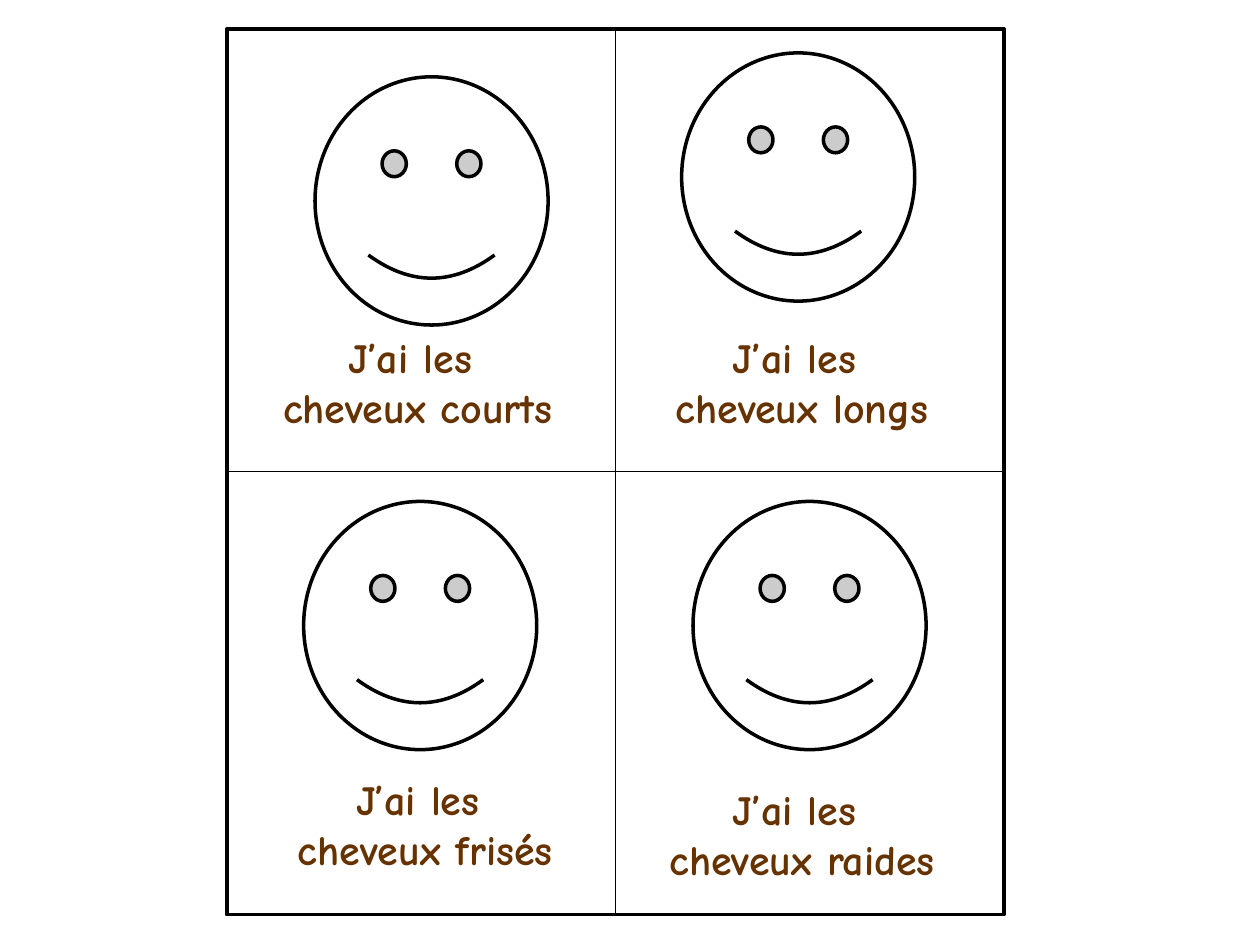
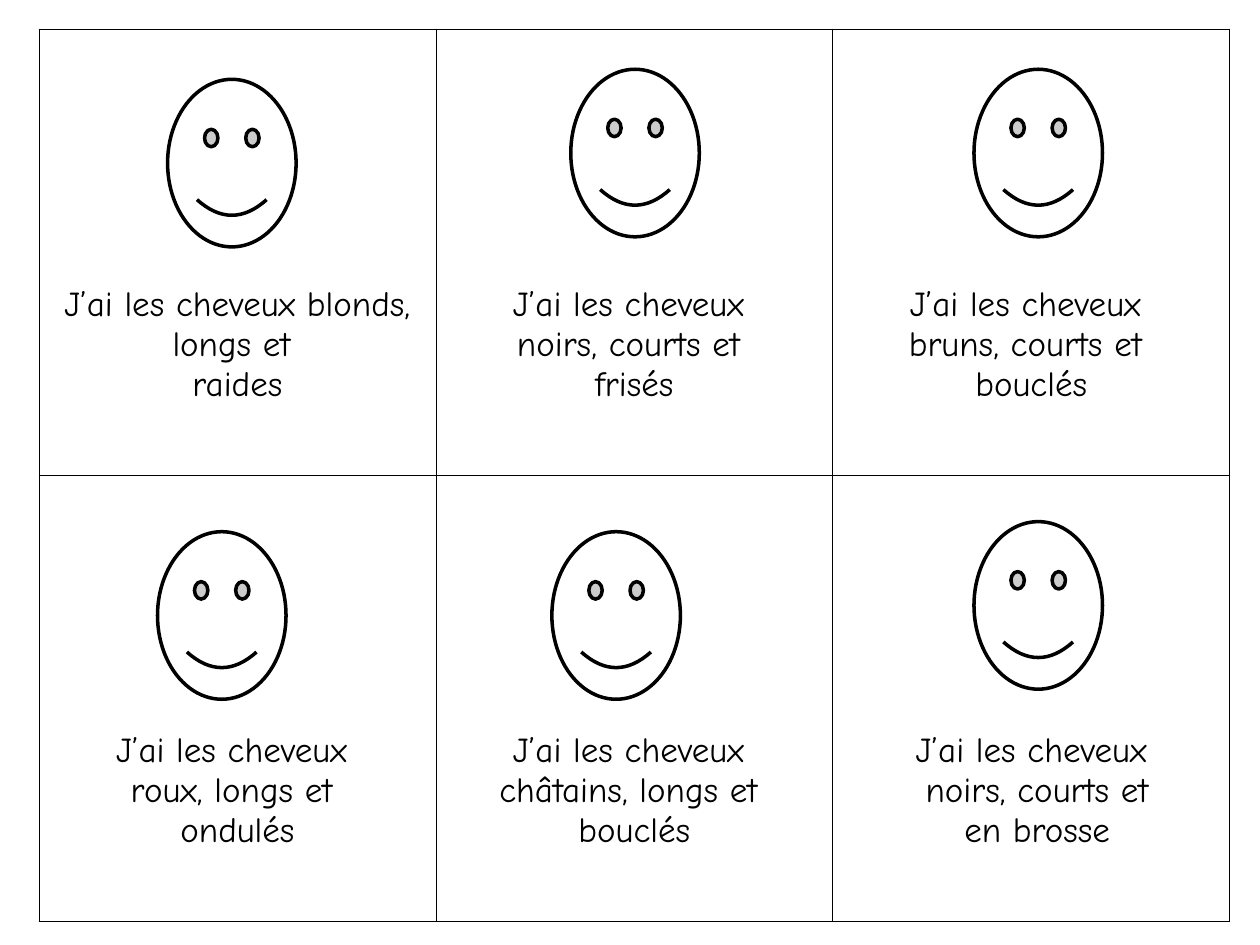
from lxml import etree
from pptx import Presentation
from pptx.dml.color import RGBColor
from pptx.enum.shapes import MSO_CONNECTOR, MSO_SHAPE
from pptx.enum.text import MSO_AUTO_SIZE, PP_ALIGN
from pptx.oxml.ns import qn
from pptx.util import Inches, Pt

BLACK = RGBColor(0x00, 0x00, 0x00)
WHITE = RGBColor(0xFF, 0xFF, 0xFF)
BROWN = RGBColor(0x66, 0x33, 0x00)

FONT = "Comic Neue"
STRAIGHT = MSO_CONNECTOR.STRAIGHT
RECTANGLE, SMILEY = MSO_SHAPE.RECTANGLE, MSO_SHAPE.SMILEY_FACE
CENTER = PP_ALIGN.CENTER
FIT_SHAPE = MSO_AUTO_SIZE.SHAPE_TO_FIT_TEXT
TOP, LEFT, BOTTOM, RIGHT = range(4)
BLANK_LAYOUT = 6


class CardDeck:
    """Holds the shared style and the slide being filled."""

    def __init__(self):
        self.deck = Presentation()
        self.deck.slide_width = Inches(10)
        self.deck.slide_height = Inches(7.5)
        self.page = None

    def add_page(self):
        self.page = self.deck.slides.add_slide(self.deck.slide_layouts[BLANK_LAYOUT])

    def shape(self, kind, left, top, width, height):
        shape = self.page.shapes.add_shape(
            kind, Inches(left), Inches(top), Inches(width), Inches(height))
        shape.shadow.inherit = False
        shape.fill.solid()
        shape.fill.fore_color.rgb = WHITE
        shape.line.color.rgb = BLACK
        shape.line.width = Pt(2)
        return shape

    def face(self, left, top, width, height):
        self.shape(SMILEY, left, top, width, height).adjustments[0] = 0.093

    def divider(self, frame, start_side, end_side):
        line = self.page.shapes.add_connector(STRAIGHT, 0, 0, 0, 0)
        line.begin_connect(frame, start_side)
        line.end_connect(frame, end_side)
        line.line.color.rgb = BLACK
        line.line.width = Pt(0.75)
        etree.SubElement(line._element.spPr, qn("a:effectLst"))

    def fill_text(self, text_frame, lines, size, color, bold=False):
        text_frame.word_wrap = True
        for index, line in enumerate(lines):
            para = text_frame.paragraphs[0] if index == 0 else text_frame.add_paragraph()
            para.alignment = CENTER
            span = para.add_run()
            span.text = line
            span.font.name = FONT
            span.font.size = Pt(size)
            span.font.bold = bold
            span.font.color.rgb = color

    def caption(self, left, top, width, lines):
        box = self.page.shapes.add_textbox(
            Inches(left), Inches(top), Inches(width), Inches(0.9))
        box.text_frame.auto_size = FIT_SHAPE
        self.fill_text(box.text_frame, lines, 24, BROWN, bold=True)

    def border(self, cell):
        properties = cell._tc.get_or_add_tcPr()
        for side in ("lnL", "lnR", "lnT", "lnB"):
            edge = etree.SubElement(properties, qn(f"a:{side}"), w=str(Pt(0.45)))
            fill = etree.SubElement(edge, qn("a:solidFill"))
            etree.SubElement(fill, qn("a:srgbClr"), val=str(BLACK))

    def card_table(self, left, top, column_width, row_height, rows):
        columns = len(rows[0])
        table = self.page.shapes.add_table(
            len(rows), columns, Inches(left), Inches(top),
            Inches(column_width * columns), Inches(row_height * len(rows))).table
        table.first_row = False
        table.horz_banding = False
        for row_index, row in enumerate(rows):
            for column_index, lines in enumerate(row):
                cell = table.cell(row_index, column_index)
                self.border(cell)
                cell.fill.background()
                # The top margin leaves room for the face
                cell.margin_top = Inches(2.03)
                self.fill_text(cell.text_frame, lines, 20, BLACK)


def build_four_cards(cards):
    cards.add_page()

    # Frame and the two lines that quarter it
    frame = cards.shape(RECTANGLE, 1.8, 0.23, 6.17, 7.03)
    cards.divider(frame, TOP, BOTTOM)
    cards.divider(frame, LEFT, RIGHT)

    # Captions
    for left, top, width, hair in (
        (1.87, 2.58, 2.89, "courts"),
        (4.92, 6.17, 2.89, "raides"),
        (1.95, 6.09, 2.85, "frisés"),
        (4.92, 2.58, 2.89, "longs"),
    ):
        cards.caption(left, top, width, ("J’ai les ", f"cheveux {hair}"))

    # Faces
    for left, top in ((2.5, 0.61), (5.5, 3.98), (2.41, 3.98), (5.41, 0.42)):
        cards.face(left, top, 1.85, 1.97)


def build_six_cards(cards):
    cards.add_page()

    # Grid of descriptions
    opening = "J’ai les cheveux "
    cards.card_table(0.31, 0.23, 3.15, 3.54, (
        (
            (opening + "blonds, longs et ", "raides"),
            (opening, "noirs, courts et ", "frisés"),
            (opening, "bruns, courts et ", "bouclés"),
        ),
        (
            (opening, "roux, longs et ", "ondulés"),
            (opening, "châtains, longs et ", "bouclés"),
            (opening.rstrip(), " noirs, courts et", " en brosse"),
        ),
    ))

    # Faces
    for left, top in ((1.33, 0.63), (4.53, 0.55), (7.73, 0.55),
                      (1.25, 4.22), (4.38, 4.22), (7.73, 4.14)):
        cards.face(left, top, 1.02, 1.33)


def main():
    cards = CardDeck()
    build_four_cards(cards)
    build_six_cards(cards)
    cards.deck.save("out.pptx")


if __name__ == "__main__":
    main()
